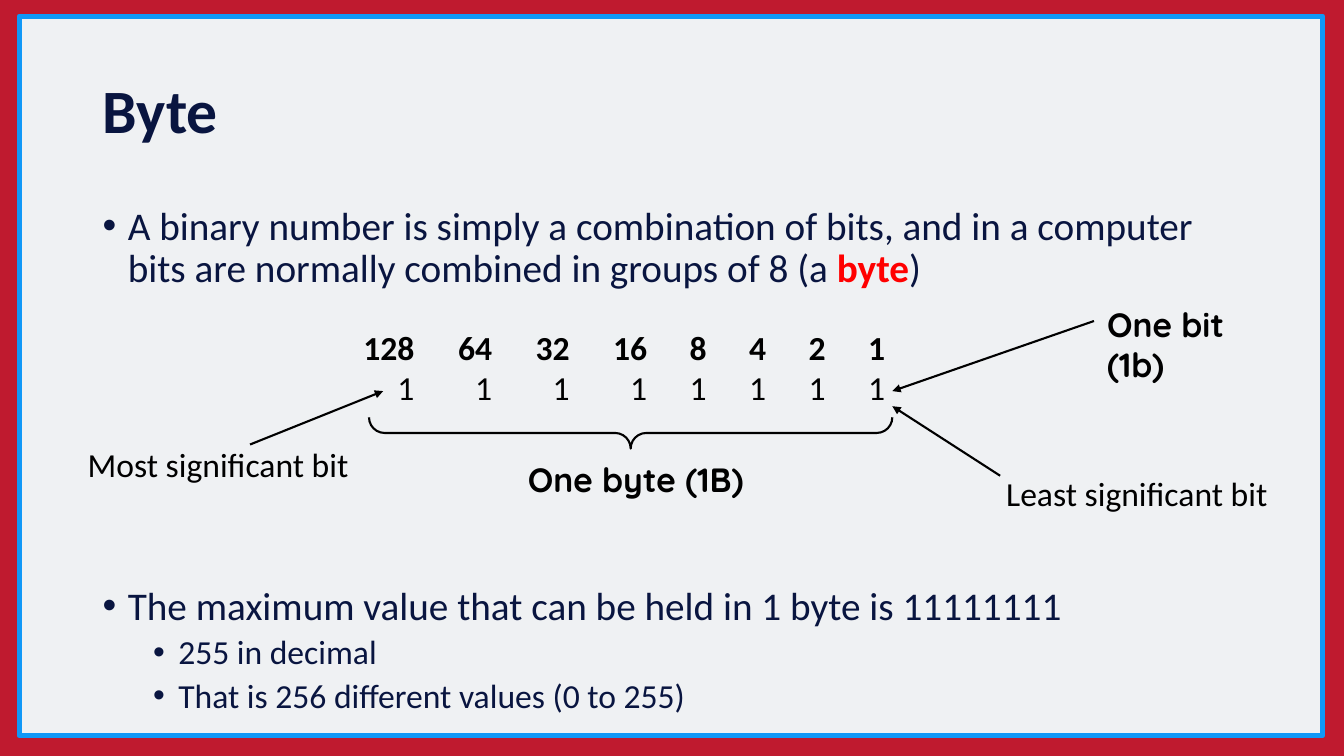
import pptx
import pptx.util
import pptx.dml.color
import pptx.enum.shapes
import pptx.enum.text
import pptx.oxml.ns
from lxml import etree
from pptx.util import Inches, Pt

COLORS = {"frame": "BF1A2F", "panel": "EFF1F3", "border": "1098F7",
          "navy": "091540", "red": "FF0000", "black": "000000"}
ALIGN = pptx.enum.text.PP_ALIGN
ANCHOR = pptx.enum.text.MSO_ANCHOR
SHAPES = pptx.enum.shapes.MSO_SHAPE
NO_GRID_STYLE = "{2D5ABB26-0587-4C30-8999-92F81FD0307C}"

TITLE = "Byte"
# Each bullet: level, runs of (text, emphasised)
BULLET_BLOCKS = [
    ((0.92, 2, 11.5, 1), [
        (0, [("A binary number is simply a combination of bits, and in a computer "
              "bits are normally combined in groups of 8 (a ", False),
             ("byte", True), (")", False)]),
    ]),
    ((0.92, 5.77, 11.5, 1.47), [
        (0, [("The maximum value that can be held in 1 byte is 11111111", False)]),
        (1, [("255 in decimal", False)]),
        (1, [("That is 256 different values (0 to 255)", False)]),
    ]),
]
LEVELS = [{"size": 28, "indent": 0.25, "before": 10},
          {"size": 24, "indent": 0.75, "before": 5}]
PLACE_VALUES = [2 ** power for power in range(7, -1, -1)]
BIT_ROWS = [PLACE_VALUES, [1] * len(PLACE_VALUES)]
COLUMN_WIDTHS = [0.95] + [0.77] * 3 + [0.59] * 4
ROW_HEIGHT = 0.4
# Each label: text, box, format
LABELS = [
    ("One bit (1b)", (10.85, 2.88, 1.93, 0.61), {"font": "Quicksand", "bold": True}),
    ("One byte (1B)", (4.94, 4.42, 2.73, 0.61),
     {"font": "Quicksand", "bold": True, "align": ALIGN.CENTER}),
    ("Least significant bit", (9.85, 4.56, 3.07, 0.61), {}),
    ("Most significant bit", (0.74, 4.27, 3.07, 0.61), {}),
]
# Each arrow: start, end, label joined at its left side
ARROWS = [
    ((10.85, 3.19), (8.85, 3.88), "One bit (1b)"),
    ((9.92, 4.72), (8.85, 4.03), None),
    ((2.48, 4.41), (3.8, 3.88), None),
]


def rgb(name):
    return pptx.dml.color.RGBColor.from_string(COLORS[name])


def add_text(paragraph, text, size=24, font="Calibri", color="black", bold=False,
             align=None):
    run = paragraph.add_run()
    run.text = text
    run.font.size = Pt(size)
    run.font.name = font
    run.font.bold = bold
    run.font.color.rgb = rgb(color)
    if align is not None:
        paragraph.alignment = align


def add_box(slide, box, margin=None, anchor=ANCHOR.TOP):
    """Add a wrapping text box; margin in inches applies to all four sides."""
    shape = slide.shapes.add_textbox(*map(Inches, box))
    frame = shape.text_frame
    frame.word_wrap = True
    frame.vertical_anchor = anchor
    if margin is not None:
        frame.margin_left = frame.margin_right = Inches(margin)
        frame.margin_top = frame.margin_bottom = Inches(margin)
    return shape


def set_line(shape, color, width):
    shape.line.color.rgb = rgb(color)
    shape.line.width = Pt(width)


def add_child(parent, tag, **attributes):
    return etree.SubElement(parent, pptx.oxml.ns.qn(tag), **attributes)


def add_panel(slide):
    panel = slide.shapes.add_shape(SHAPES.RECTANGLE,
                                   *map(Inches, (0.19, 0.16, 12.93, 7.14)))
    panel.shadow.inherit = False
    panel.fill.solid()
    panel.fill.fore_color.rgb = rgb("panel")
    set_line(panel, "border", 3.5)


def add_title(slide):
    box = add_box(slide, (0.92, 0.4, 11.5, 1.45), anchor=ANCHOR.MIDDLE)
    paragraph = box.text_frame.paragraphs[0]
    paragraph.line_spacing = 0.9
    add_text(paragraph, TITLE, size=44, color="navy", bold=True)


def add_bullets(slide, box, bullets):
    frame = add_box(slide, box).text_frame
    for index, (level, runs) in enumerate(bullets):
        paragraph = frame.add_paragraph() if index else frame.paragraphs[0]
        style = LEVELS[level]
        paragraph.level = level
        paragraph.line_spacing = 0.9
        paragraph.space_before = Pt(style["before"] if index else 0)
        properties = paragraph._p.get_or_add_pPr()
        properties.set("marL", str(Inches(style["indent"])))
        properties.set("indent", str(Inches(-0.25)))
        add_child(properties, "a:buFont", typeface="Arial")
        add_child(properties, "a:buChar", char="•")
        for text, emphasised in runs:
            add_text(paragraph, text, size=style["size"], bold=emphasised,
                     color="red" if emphasised else "navy")


def add_bit_table(slide):
    table = slide.shapes.add_table(
        len(BIT_ROWS), len(COLUMN_WIDTHS), Inches(3.23), Inches(3.26),
        Inches(sum(COLUMN_WIDTHS)), Inches(ROW_HEIGHT * len(BIT_ROWS))).table
    table.first_row = table.horz_banding = False
    table._tbl.tblPr.find(pptx.oxml.ns.qn("a:tableStyleId")).text = NO_GRID_STYLE
    for column, width in zip(table.columns, COLUMN_WIDTHS):
        column.width = Inches(width)
    for row_index, values in enumerate(BIT_ROWS):
        for column_index, value in enumerate(values):
            cell = table.cell(row_index, column_index)
            cell.fill.background()
            cell.margin_left = cell.margin_right = Inches(0.07)
            cell.margin_top = cell.margin_bottom = 0
            add_text(cell.text_frame.paragraphs[0], str(value),
                     bold=row_index == 0, align=ALIGN.RIGHT)


def add_brace(slide):
    brace = slide.shapes.add_shape(SHAPES.LEFT_BRACE,
                                   *map(Inches, (6.1, 1.7, 0.31, 5.19)))
    brace.rotation = 270
    brace.adjustments[0] = 0.5
    brace.adjustments[1] = 0.5
    brace.shadow.inherit = False
    brace.fill.background()
    set_line(brace, "black", 1.5)


def add_arrow(slide, start, end, joined_label):
    arrow = slide.shapes.add_connector(pptx.enum.shapes.MSO_CONNECTOR.STRAIGHT,
                                       *map(Inches, start + end))
    if joined_label is not None:
        arrow.begin_connect(joined_label, 1)
    set_line(arrow, "black", 1.5)
    add_child(arrow.line._get_or_add_ln(), "a:tailEnd", type="triangle")
    add_child(arrow._element.spPr, "a:effectLst")


def main():
    presentation = pptx.Presentation()
    presentation.slide_width = Inches(13.33)
    presentation.slide_height = Inches(7.5)
    slide = presentation.slides.add_slide(presentation.slide_layouts[6])
    slide.background.fill.solid()
    slide.background.fill.fore_color.rgb = rgb("frame")

    add_panel(slide)
    add_title(slide)
    for box, bullets in BULLET_BLOCKS:
        add_bullets(slide, box, bullets)
    add_bit_table(slide)
    add_brace(slide)
    labels = {}
    for text, box, style in LABELS:
        labels[text] = add_box(slide, box, margin=0.13)
        add_text(labels[text].text_frame.paragraphs[0], text, **style)
    for start, end, label in ARROWS:
        add_arrow(slide, start, end, labels.get(label))
    presentation.save("out.pptx")


if __name__ == "__main__":
    main()
